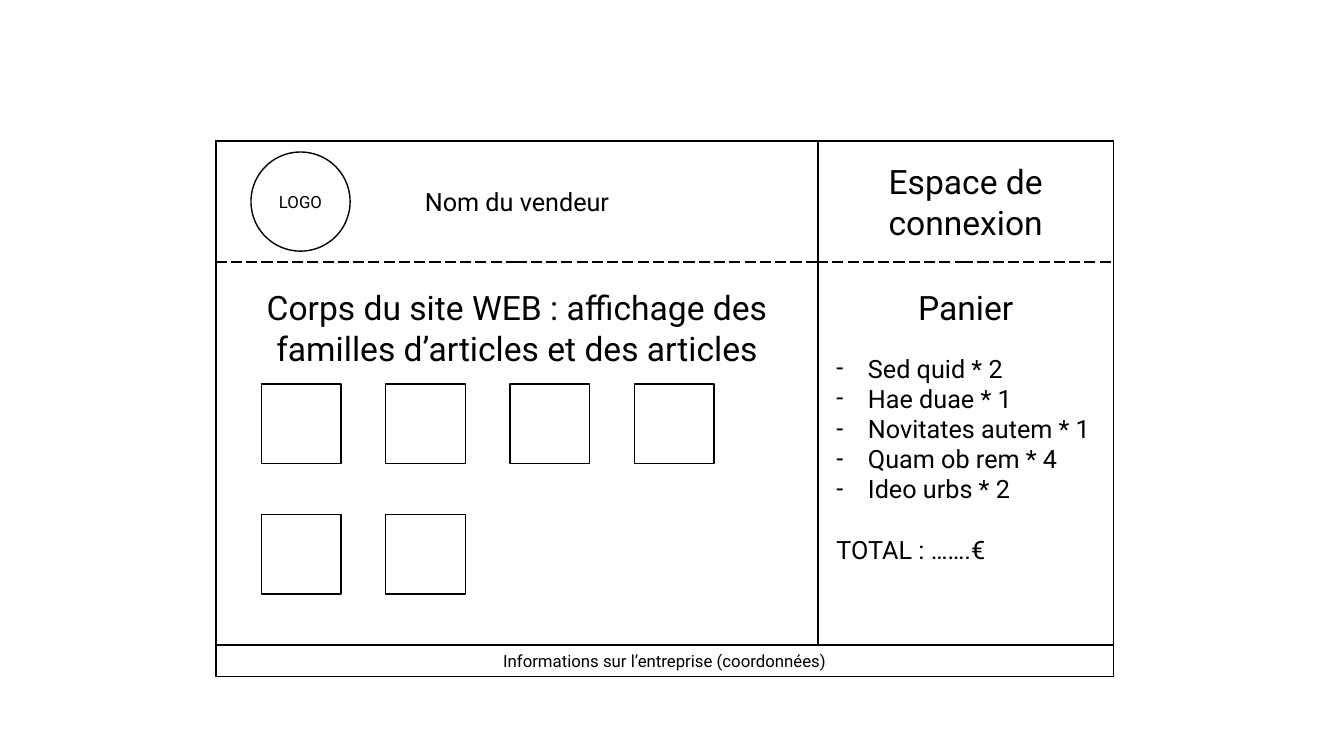
from collections import namedtuple

from lxml import etree
from pptx import Presentation
from pptx import util as u
from pptx.dml import color
from pptx.enum import dml, shapes, text
from pptx.oxml import ns

Box = namedtuple("Box", "left top width height")
FONT = "Roboto"
INK = "000000"
PAPER = "FFFFFF"
HEADER_HEIGHT = 86.4


def rgb(value):
    return color.RGBColor.from_string(value)


def points(box):
    return [u.Pt(length) for length in box]


def outline(slide, box, preset=shapes.MSO_SHAPE.RECTANGLE, dashed=False, fill=None):
    frame = slide.shapes.add_shape(preset, *points(box))
    frame.shadow.inherit = False
    if fill:
        frame.fill.solid()
        frame.fill.fore_color.rgb = rgb(fill)
    else:
        frame.fill.background()
    frame.line.color.rgb = rgb(INK)
    frame.line.width = u.Pt(1)
    if dashed:
        frame.line.dash_style = dml.MSO_LINE.LONG_DASH
    return frame


def write(holder, lines, size, align=text.PP_ALIGN.CENTER, anchor=text.MSO_ANCHOR.MIDDLE):
    frame = holder.text_frame
    frame.word_wrap = True
    frame.auto_size = text.MSO_AUTO_SIZE.NONE
    frame.vertical_anchor = anchor
    frame.text = "\n".join(lines)
    for paragraph in frame.paragraphs:
        paragraph.alignment = align
        paragraph.space_before = u.Pt(0)
        paragraph.font.name = FONT
        paragraph.font.size = u.Pt(size)
        paragraph.font.color.rgb = rgb(INK)
    return frame.paragraphs


def label(slide, box, wording, size):
    write(slide.shapes.add_textbox(*points(box)), [wording], size)


def place(placeholder, box):
    placeholder.left, placeholder.top, placeholder.width, placeholder.height = points(box)


def set_bullet(paragraph, indent, mark=None):
    properties = paragraph._p.get_or_add_pPr()
    properties.set("marL", str(u.Pt(indent)))
    properties.set("indent", str(-u.Pt(indent)))
    if mark:
        etree.SubElement(properties, ns.qn("a:buFont")).set("typeface", FONT)
        etree.SubElement(properties, ns.qn("a:buChar")).set("char", mark)
    else:
        etree.SubElement(properties, ns.qn("a:buNone"))


def add_header(slide, box):
    outline(slide, box, dashed=True)
    diameter = 70.8
    logo = Box(box.left + 25, box.top + (box.height - diameter) / 2, diameter, diameter)
    write(outline(slide, logo, shapes.MSO_SHAPE.OVAL, fill=PAPER), ["LOGO"], 12)
    label(slide, box, "Nom du vendeur", 18)


def add_login(slide, box):
    outline(slide, box, dashed=True)
    label(slide, box, "Espace de connexion", 24)


def add_catalogue(slide, box):
    heading = slide.shapes.title
    place(heading, Box(box.left, box.top + 14, box.width, 65.6))
    write(heading, ["Corps du site WEB : affichage des familles d’articles et des articles"], 24)
    columns, articles, side = 4, 6, 57
    for article in range(articles):
        row, column = divmod(article, columns)
        outline(slide, Box(box.left + 32.4 + column * 88.8,
                           box.top + 87 + row * 93.2, side, side))


def add_basket(slide, box):
    label(slide, Box(box.left, box.top + 14.4, box.width, 36), "Panier", 24)
    basket = slide.placeholders[1]
    place(basket, Box(box.left + 6, box.top + 61.2, box.width - 12, 160))
    articles = ["Sed quid * 2", "Hae duae * 1", "Novitates autem * 1",
                "Quam ob rem * 4", "Ideo urbs * 2"]
    *items, total = write(basket, articles + ["TOTAL : …….€"], 18,
                          text.PP_ALIGN.LEFT, text.MSO_ANCHOR.TOP)
    for item in items:
        set_bullet(item, 22.5, "-")
    set_bullet(total, 0)
    total.space_before = u.Pt(21.5)


def add_footer(slide, box):
    outline(slide, box)
    label(slide, box, "Informations sur l’entreprise (coordonnées)", 12)


def add_wireframe(slide, box):
    footer_height, sidebar_width = 22.3, 211
    main_width = box.width - sidebar_width
    page_height = box.height - footer_height
    body_height = page_height - HEADER_HEIGHT
    sidebar_left = box.left + main_width
    body_top = box.top + HEADER_HEIGHT

    outline(slide, Box(box.left, box.top, box.width, page_height))
    outline(slide, Box(sidebar_left, box.top, sidebar_width, page_height))
    add_header(slide, Box(box.left, box.top, main_width, HEADER_HEIGHT))
    add_login(slide, Box(sidebar_left, box.top, sidebar_width, HEADER_HEIGHT))
    add_catalogue(slide, Box(box.left, body_top, main_width, body_height))
    add_basket(slide, Box(sidebar_left, body_top, sidebar_width, body_height))
    add_footer(slide, Box(box.left, box.top + page_height, box.width, footer_height))


deck = Presentation()
deck.slide_width = u.Pt(960)
deck.slide_height = u.Pt(540)
site = deck.slides.add_slide(deck.slide_layouts[1])
add_wireframe(site, Box(154.3, 100.8, 641, 382.3))
deck.save("out.pptx")
